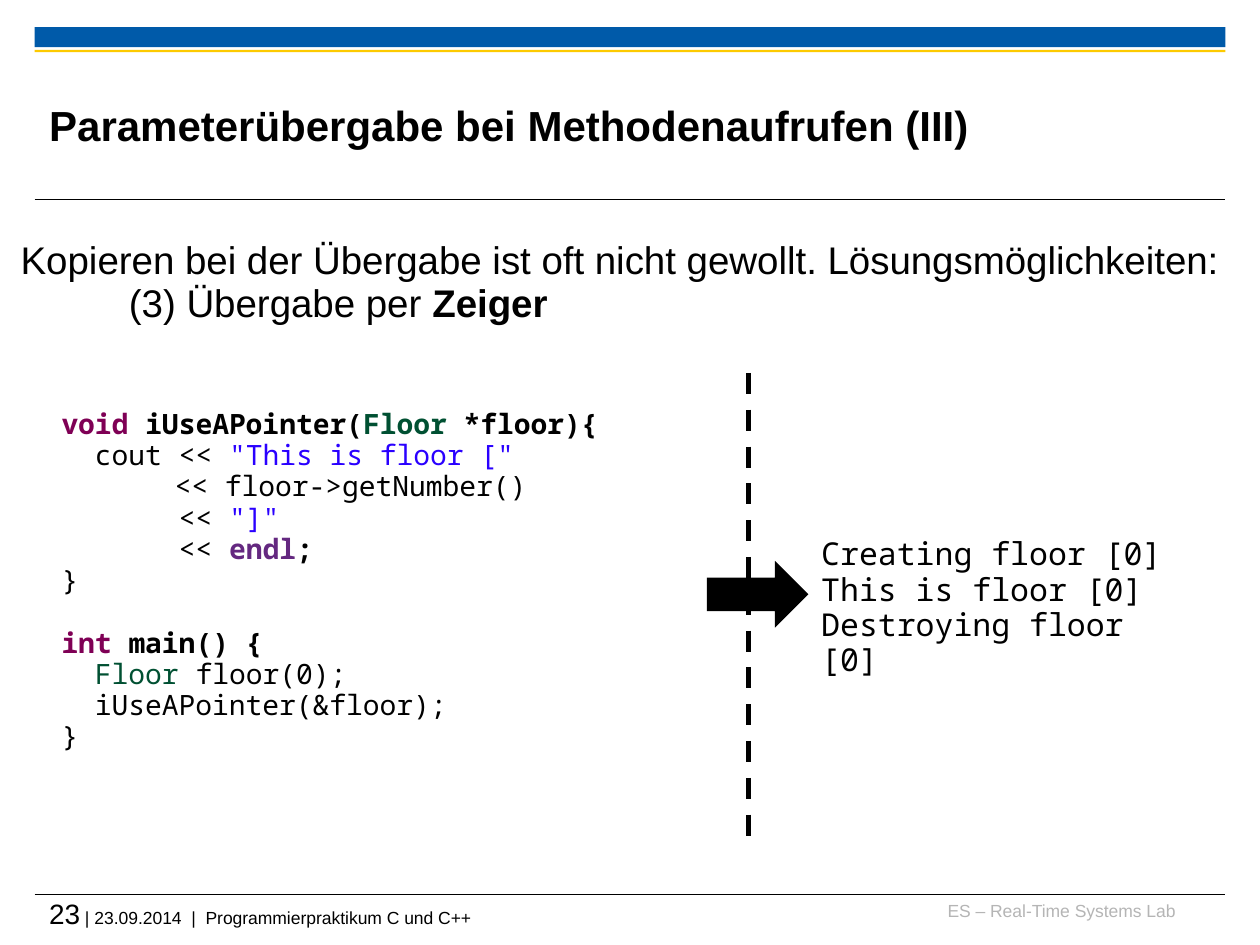
from dataclasses import dataclass

from lxml import etree
from pptx import Presentation
from pptx.dml.color import RGBColor
from pptx.enum.dml import MSO_LINE
from pptx.enum.shapes import MSO_CONNECTOR, MSO_SHAPE
from pptx.enum.text import MSO_ANCHOR, PP_ALIGN
from pptx.oxml.ns import qn
from pptx.util import Pt

STRAIGHT = MSO_CONNECTOR.STRAIGHT
RECTANGLE, RIGHT_ARROW = MSO_SHAPE.RECTANGLE, MSO_SHAPE.RIGHT_ARROW
LEFT, CENTER, RIGHT = PP_ALIGN.LEFT, PP_ALIGN.CENTER, PP_ALIGN.RIGHT
TOP, MIDDLE = MSO_ANCHOR.TOP, MSO_ANCHOR.MIDDLE
DASH = MSO_LINE.DASH


@dataclass(frozen=True)
class Theme:
    sans: str = "Arial"
    mono: str = "Noto Sans Mono"
    black: str = "000000"
    blue: str = "005AA9"
    yellow: str = "FDCA00"
    grey: str = "B5B5B5"
    keyword: str = "7F0055"
    type_name: str = "005032"
    string: str = "2A00FF"
    stream: str = "642880"
    title: float = 24
    lead: float = 22
    output: float = 18
    code: float = 16
    page_number: float = 16
    footer: float = 10
    tight: float = 0.93


THEME = Theme()


@dataclass(frozen=True)
class Span:
    text: str
    color: str = THEME.black
    bold: bool = False
    size: float | None = None


@dataclass(frozen=True)
class Line:
    spans: tuple[Span, ...]
    align: PP_ALIGN = LEFT
    indent: float = 0
    tab_stop: float | None = None
    space_before: float | None = None


@dataclass(frozen=True)
class TextBlock:
    left: float
    top: float
    width: float
    height: float
    font: str
    size: float
    lines: tuple[Line, ...]
    inset: tuple[float, float] = (0, 0)
    spacing: float | None = None
    anchor: MSO_ANCHOR = TOP


@dataclass(frozen=True)
class Rule:
    x1: float
    y1: float
    x2: float
    y2: float
    weight: float = 0.6
    dash: MSO_LINE | None = None


@dataclass(frozen=True)
class Block:
    kind: MSO_SHAPE
    left: float
    top: float
    width: float
    height: float
    color: str


def line(*spans: Span, **layout) -> Line:
    return Line(spans, **layout)


def draw_text(slide, block: TextBlock) -> None:
    box = slide.shapes.add_textbox(
        Pt(block.left), Pt(block.top), Pt(block.width), Pt(block.height))
    frame = box.text_frame
    frame.word_wrap = True
    frame.vertical_anchor = block.anchor
    frame.margin_left = frame.margin_right = Pt(block.inset[0])
    frame.margin_top = frame.margin_bottom = Pt(block.inset[1])
    for index, content in enumerate(block.lines):
        paragraph = frame.add_paragraph() if index else frame.paragraphs[0]
        format_paragraph(paragraph, content, block.spacing)
        for span in content.spans:
            run = paragraph.add_run()
            run.text = span.text
            run.font.name = block.font
            run.font.size = Pt(span.size or block.size)
            run.font.bold = span.bold
            run.font.color.rgb = RGBColor.from_string(span.color)


def format_paragraph(paragraph, content: Line, spacing: float | None) -> None:
    properties = paragraph._p.get_or_add_pPr()
    if content.indent:
        properties.set("marL", str(Pt(content.indent)))
    if content.tab_stop:
        tabs = etree.SubElement(properties, qn("a:tabLst"))
        etree.SubElement(tabs, qn("a:tab"), pos=str(Pt(content.tab_stop)), algn="l")
    paragraph.alignment = content.align
    if spacing:
        paragraph.line_spacing = spacing
    if content.space_before:
        paragraph.space_before = Pt(content.space_before)


def draw_rule(slide, rule: Rule) -> None:
    connector = slide.shapes.add_connector(
        STRAIGHT, Pt(rule.x1), Pt(rule.y1), Pt(rule.x2), Pt(rule.y2))
    connector.line.color.rgb = RGBColor.from_string(THEME.black)
    connector.line.width = Pt(rule.weight)
    if rule.dash:
        connector.line.dash_style = rule.dash
    etree.SubElement(connector._element.spPr, qn("a:effectLst"))


def draw_block(slide, block: Block) -> None:
    shape = slide.shapes.add_shape(
        block.kind, Pt(block.left), Pt(block.top), Pt(block.width), Pt(block.height))
    shape.shadow.inherit = False
    shape.fill.solid()
    shape.fill.fore_color.rgb = RGBColor.from_string(block.color)
    shape.line.fill.background()


EDGE, BAND_WIDTH, MARGIN = 19.8, 680.4, 28.1
BOX_INSET = (7.2, 3.6)

BANDS = (Block(RECTANGLE, EDGE, 15.6, BAND_WIDTH, 11.4, THEME.blue),
         Block(RECTANGLE, EDGE, 28.5, BAND_WIDTH, 1.3, THEME.yellow))
RULES = tuple(Rule(EDGE, y, EDGE + BAND_WIDTH, y) for y in (114.2, 511))
DIVIDER = Rule(427.8, 213.1, 427.8, 479.5, 3, DASH)
RESULT_ARROW = Block(RIGHT_ARROW, 404, 320.5, 57.9, 38.2, THEME.black)

CODE = (
    line(Span("void ", THEME.keyword, True), Span("iUseAPointer(", bold=True),
         Span("Floor ", THEME.type_name, True), Span("*floor){", bold=True)),
    line(Span("  cout << "), Span('"This is floor ["', THEME.string)),
    line(Span(" \t   << floor->getNumber()"), tab_stop=36),
    line(Span("       << "), Span('"]"', THEME.string)),
    line(Span("       << "), Span("endl", THEME.stream, True), Span(";", bold=True)),
    line(Span("}")),
    line(Span("int ", THEME.keyword, True), Span("main() {", bold=True),
         space_before=17.9),
    line(Span("  Floor ", THEME.type_name), Span("floor(0);")),
    line(Span("  iUseAPointer(&floor);")),
    line(Span("}")),
)
OUTPUT = tuple(line(Span(text)) for text in (
    "Creating floor [0]", "This is floor [0]", "Destroying floor [0]"))

TEXTS = (
    TextBlock(529.9, 514.1, 141.8, 18, THEME.sans, THEME.footer,
              (line(Span("ES – Real-Time Systems Lab", THEME.grey), align=RIGHT),)),
    TextBlock(MARGIN, 512.6, 671.8, 23.8, THEME.sans, THEME.footer,
              (line(Span("23", size=THEME.page_number),
                    Span(" | 23.09.2014  |  Programmierpraktikum C und C++")),)),
    TextBlock(MARGIN, 38.2, 541.4, 66.2, THEME.sans, THEME.title,
              (line(Span("Parameterübergabe bei Methodenaufrufen (III)", bold=True)),),
              anchor=MIDDLE),
    TextBlock(-2.9, 133.9, 714.2, 56.9, THEME.sans, THEME.lead,
              (line(Span("Kopieren bei der Übergabe ist oft nicht gewollt. "
                         "Lösungsmöglichkeiten:"), align=CENTER),
               line(Span("(3) Übergabe per "), Span("Zeiger", bold=True), indent=69.5)),
              BOX_INSET, THEME.tight),
    TextBlock(MARGIN, 230.4, 427.7, 205.9, THEME.mono, THEME.code, CODE,
              BOX_INSET, THEME.tight),
    TextBlock(462.2, 303.8, 219.6, 68.4, THEME.mono, THEME.output, OUTPUT,
              BOX_INSET, THEME.tight),
)


def main() -> None:
    deck = Presentation()
    deck.slide_width, deck.slide_height = Pt(720), Pt(540)
    slide = deck.slides.add_slide(deck.slide_layouts[6])
    for band in BANDS:
        draw_block(slide, band)
    for rule in (*RULES, DIVIDER):
        draw_rule(slide, rule)
    draw_block(slide, RESULT_ARROW)
    for text in TEXTS:
        draw_text(slide, text)
    deck.save("out.pptx")


if __name__ == "__main__":
    main()
